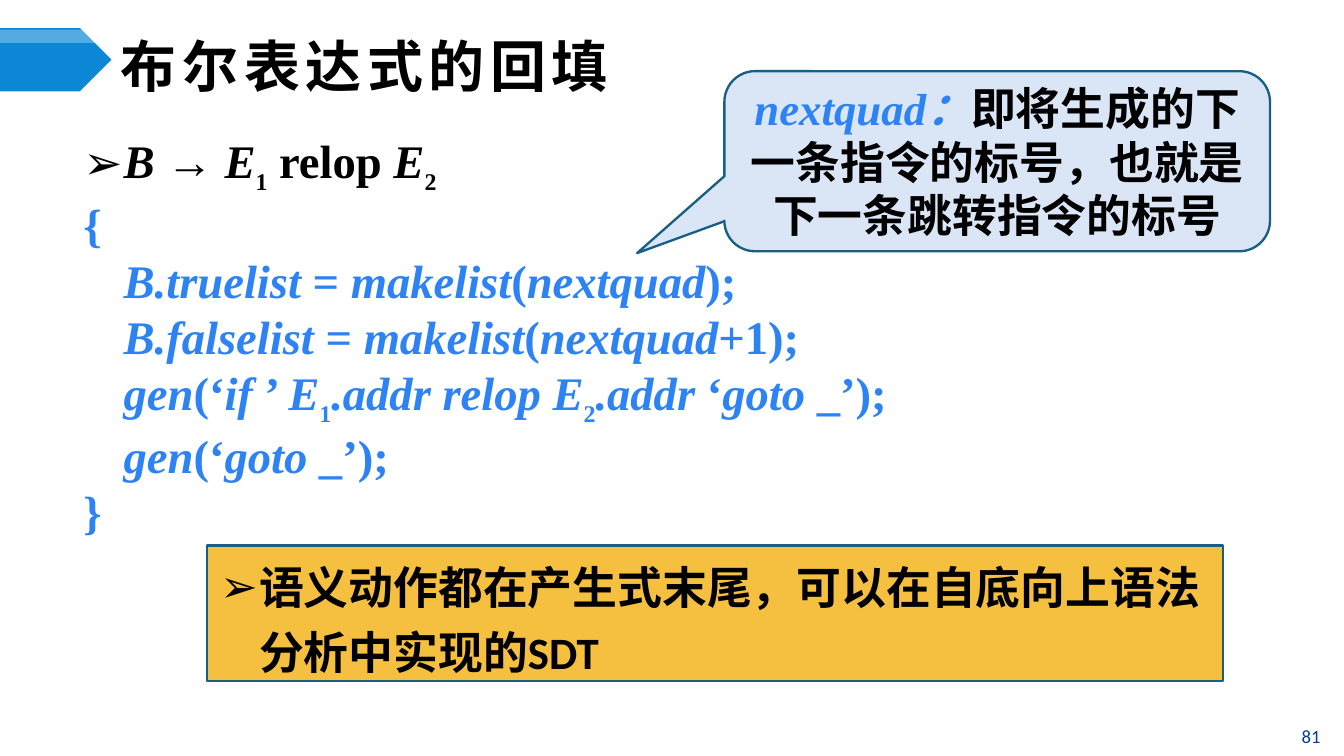
from lxml import etree
from pptx import Presentation
from pptx import util as u
from pptx.dml import color
from pptx.enum import shapes, text
from pptx.oxml import ns

COLORS = {
    "black": "000000",
    "white": "FFFFFF",
    "arrow": "0B87D6",
    "code": "2D83F4",
    "outline": "195F84",
    "callout": "DAE6F6",
    "note": "F5C040",
    "number": "073E87",
}
SERIF = "Times New Roman"
CHINESE = "Noto Sans CJK SC"
SANS = "Calibri"
SLIDE_WIDTH = 10

PRODUCTION = [
    ("B ", "italic"), ("→", ""), (" E", "italic"), ("1", "sub"),
    (" ", "italic"), ("relop ", ""), ("E", "italic"), ("2", "sub"),
]
ACTIONS = [
    [("{", "")],
    [("\t", ""), ("B.truelist", "italic"), (" = ", ""), ("makelist", "italic"),
     ("(", ""), ("nextquad", "italic"), (");", "")],
    [("\t", ""), ("B.falselist", "italic"), (" = ", ""), ("makelist", "italic"),
     ("(", ""), ("nextquad", "italic"), ("+1);", "")],
    [("\t", ""), ("gen", "italic"), ("(‘", ""), ("if ", "italic"), ("’ ", ""),
     ("E", "italic"), ("1", "sub"), (".addr relop E", "italic"), ("2", "sub"),
     (".addr", "italic"), (" ‘", ""), ("goto", "italic"), (" _’);", "")],
    [("\t", ""), ("gen", "italic"), ("(‘", ""), ("goto", "italic"), (" _’);", "")],
    [("}", "")],
]


def rgb(name):
    return color.RGBColor.from_string(COLORS[name])


def place(shape, left, top, width, height):
    shape.left, shape.top = u.Inches(left), u.Inches(top)
    shape.width, shape.height = u.Inches(width), u.Inches(height)


def set_frame(shape, side=0.07, edge=0.04):
    frame = shape.text_frame
    frame.word_wrap = True
    frame.auto_size = text.MSO_AUTO_SIZE.NONE
    frame.margin_left = frame.margin_right = u.Inches(side)
    frame.margin_top = frame.margin_bottom = u.Inches(edge)
    frame.vertical_anchor = text.MSO_ANCHOR.MIDDLE
    return frame


def format_run(run, size, font, fill, bold=True, italic=False):
    run.font.size = u.Pt(size)
    run.font.name = font
    run.font.bold = bold
    run.font.italic = italic
    run.font.color.rgb = rgb(fill)
    properties = run.font._element
    east_asian = etree.SubElement(properties, ns.qn("a:ea"))
    east_asian.set("typeface", CHINESE)


def set_bullet(paragraph, indent, character=None):
    properties = paragraph._p.get_or_add_pPr()
    properties.set("marL", str(u.Inches(indent)))
    properties.set("indent", str(-u.Inches(indent)))
    if character:
        etree.SubElement(properties, ns.qn("a:buFont")).set("typeface", "Arial")
        etree.SubElement(properties, ns.qn("a:buChar")).set("char", character)
    else:
        etree.SubElement(properties, ns.qn("a:buNone"))


def add_box(slide, kind, box, fill, outline=None):
    shape = slide.shapes.add_shape(kind, *[u.Inches(length) for length in box])
    shape.shadow.inherit = False
    shape.fill.solid()
    shape.fill.fore_color.rgb = rgb(fill)
    if outline:
        shape.line.color.rgb = rgb(outline)
        shape.line.width = u.Pt(1.25)
    else:
        shape.line.fill.background()
    return shape


def add_title_arrow(slide):
    pentagon = shapes.MSO_SHAPE.PENTAGON
    add_box(slide, pentagon, (0, 0.21, 0.83, 0.47), "arrow")
    highlight = add_box(slide, pentagon, (0, 0.22, 0.83, 0.1), "white")
    fill = highlight._element.spPr.find(ns.qn("a:solidFill"))
    etree.SubElement(fill[0], ns.qn("a:alpha")).set("val", "30000")


def fill_title(title):
    place(title, 0.83, 0.29, 8.67, 0.39)
    frame = set_frame(title)
    frame.text = "布尔表达式的回填"
    paragraph = frame.paragraphs[0]
    paragraph.alignment = text.PP_ALIGN.LEFT
    run = paragraph.runs[0]
    format_run(run, 30, CHINESE, "black")
    run.font._element.set("spc", "300")


def write_code(paragraph, pieces, fill):
    paragraph.space_before = u.Pt(0)
    for content, style in pieces:
        run = paragraph.add_run()
        run.text = content
        subscript = style == "sub"
        format_run(run, 22 if subscript else 25, SERIF, fill, italic=style == "italic")
        if subscript:
            run.font._element.set("baseline", "-30000")


def fill_body(body):
    place(body, 0.55, 0.94, 6.48, 3.53)
    frame = set_frame(body)
    frame.vertical_anchor = text.MSO_ANCHOR.TOP
    production = frame.paragraphs[0]
    set_bullet(production, 0.3, "➢")
    write_code(production, PRODUCTION, "black")
    for pieces in ACTIONS:
        paragraph = frame.add_paragraph()
        set_bullet(paragraph, 0.3)
        paragraph.alignment = text.PP_ALIGN.JUSTIFY
        write_code(paragraph, pieces, "code")


def add_callout(slide):
    kind = shapes.MSO_SHAPE.ROUNDED_RECTANGULAR_CALLOUT
    callout = add_box(slide, kind, (5.39, 0.53, 4.06, 1.34), "callout", "outline")
    for index, value in enumerate((-0.66, 0.51, 0.17)):
        callout.adjustments[index] = value
    paragraph = set_frame(callout, 0.1, 0.05).paragraphs[0]
    paragraph.alignment = text.PP_ALIGN.CENTER
    paragraph.text = "nextquad："
    format_run(paragraph.runs[0], 24, SERIF, "code", italic=True)
    explanation = paragraph.add_run()
    explanation.text = "即将生成的下一条指令的标号，也就是下一条跳转指令的标号"
    format_run(explanation, 24, SERIF, "black")


def add_note(slide):
    kind = shapes.MSO_SHAPE.RECTANGLE
    note = add_box(slide, kind, (1.54, 4.06, 7.56, 1.01), "note", "outline")
    paragraph = set_frame(note, 0.1, 0.05).paragraphs[0]
    set_bullet(paragraph, 0.29, "➢")
    paragraph.alignment = text.PP_ALIGN.LEFT
    paragraph.line_spacing = u.Pt(35)
    paragraph.text = "语义动作都在产生式末尾，可以在自底向上语法分析中实现的SDT"
    format_run(paragraph.runs[0], 24, SANS, "black")


def add_slide_number(slide):
    box = [u.Inches(length) for length in (9.53, 5.33, 0.45, 0.3)]
    frame = set_frame(slide.shapes.add_textbox(*box))
    frame.text = "81"
    paragraph = frame.paragraphs[0]
    paragraph.alignment = text.PP_ALIGN.CENTER
    format_run(paragraph.runs[0], 10, SANS, "number", bold=False)


def main():
    presentation = Presentation()
    presentation.slide_width = u.Inches(SLIDE_WIDTH)
    presentation.slide_height = u.Inches(SLIDE_WIDTH * 9 / 16)
    slide = presentation.slides.add_slide(presentation.slide_layouts[1])
    add_title_arrow(slide)
    fill_body(slide.placeholders[1])
    fill_title(slide.shapes.title)
    add_callout(slide)
    add_slide_number(slide)
    add_note(slide)
    presentation.save("out.pptx")


if __name__ == "__main__":
    main()
